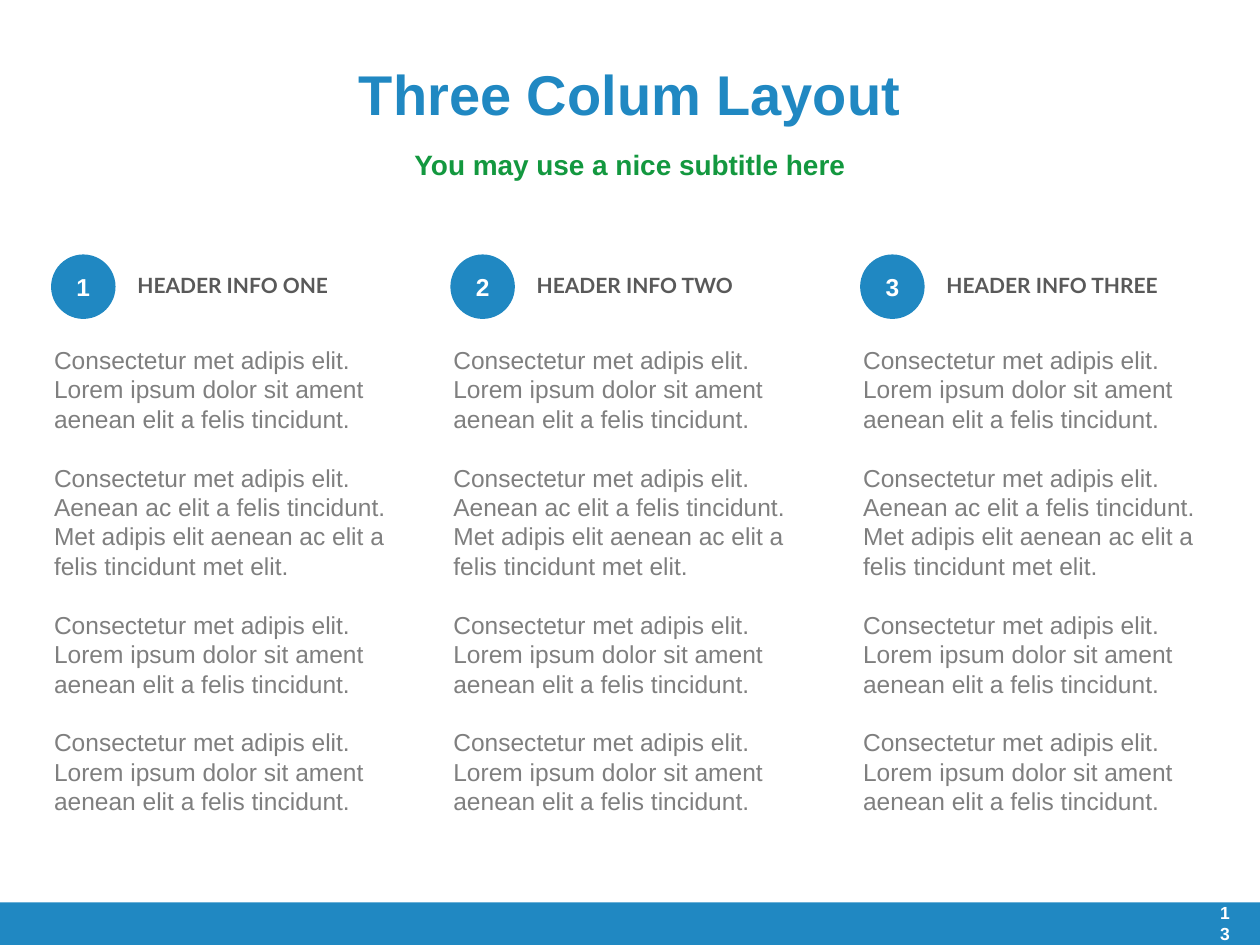
from pptx import Presentation
from pptx.dml.color import RGBColor
from pptx.enum.shapes import MSO_SHAPE
from pptx.enum.text import MSO_ANCHOR, PP_ALIGN
from pptx.util import Cm, Pt

BLUE = RGBColor(0x20, 0x88, 0xC2)
GREEN = RGBColor(0x13, 0x98, 0x3F)
DARK_GRAY = RGBColor(0x59, 0x59, 0x59)
GRAY = RGBColor(0x7F, 0x7F, 0x7F)
WHITE = RGBColor(0xFF, 0xFF, 0xFF)

COLUMNS = [
    (0.84, "HEADER INFO ONE"),
    (8.89, "HEADER INFO TWO"),
    (17.15, "HEADER INFO THREE"),
]
LOREM = ("Consectetur met adipis elit. Lorem ipsum dolor sit ament "
         "aenean elit a felis tincidunt.")
BODY_LINE = Pt(16.8)
BODY = [
    (LOREM, 0),
    ("Consectetur met adipis elit. Aenean ac elit a felis tincidunt.", BODY_LINE),
    ("Met adipis elit aenean ac elit a felis tincidunt met elit.", 0),
    (LOREM, BODY_LINE),
    (LOREM, BODY_LINE),
]


def write_text(shape, paragraphs, size, color, font="Arial", bold=False,
               align=PP_ALIGN.LEFT, anchor=MSO_ANCHOR.MIDDLE, line_spacing=1.0):
    frame = shape.text_frame
    frame.word_wrap = True
    frame.vertical_anchor = anchor
    for index, (text, space_before) in enumerate(paragraphs):
        paragraph = frame.add_paragraph() if index else frame.paragraphs[0]
        paragraph.alignment = align
        paragraph.line_spacing = line_spacing
        paragraph.space_before = space_before
        run = paragraph.add_run()
        run.text = text
        run.font.name = font
        run.font.size = Pt(size)
        run.font.bold = bold
        run.font.color.rgb = color


def add_text(slide, left, top, width, height, paragraphs, **text_format):
    box = slide.shapes.add_textbox(Cm(left), Cm(top), Cm(width), Cm(height))
    write_text(box, paragraphs, **text_format)
    return box


def add_blue_shape(slide, kind, left, top, width, height):
    shape = slide.shapes.add_shape(kind, Cm(left), Cm(top), Cm(width), Cm(height))
    shape.shadow.inherit = False
    shape.fill.solid()
    shape.fill.fore_color.rgb = BLUE
    shape.line.fill.background()
    return shape


def add_number_badge(slide, left, number):
    badge = add_blue_shape(slide, MSO_SHAPE.ROUNDED_RECTANGLE, left, 5.13, 1.3, 1.3)
    badge.adjustments[0] = 0.5
    write_text(badge, [(str(number), 0)], size=14, color=WHITE, bold=True,
               align=PP_ALIGN.CENTER)


def add_column(slide, left, number, header):
    body = add_text(slide, left, 6.83, 7.19, 9.53, BODY, size=14, color=GRAY,
                    anchor=MSO_ANCHOR.TOP, line_spacing=BODY_LINE)
    body.text_frame.margin_right = 0
    add_text(slide, left + 1.68, 5.08, 5.51, 1.3, [(header, 0)], size=12,
             color=DARK_GRAY, font="Lato", bold=True, line_spacing=1.1)
    add_number_badge(slide, left + 0.19, number)


def main():
    presentation = Presentation()
    presentation.slide_width = Cm(25.4)
    presentation.slide_height = Cm(19.05)
    slide = presentation.slides.add_slide(presentation.slide_layouts[6])

    add_blue_shape(slide, MSO_SHAPE.RECTANGLE, 0, 18.19, 25.45, 0.89)
    for number, (left, header) in enumerate(COLUMNS, start=1):
        add_column(slide, left, number, header)
    add_text(slide, 24.33, 18.26, 0.71, 0.69, [("13", 0)], size=10,
             color=WHITE, bold=True, align=PP_ALIGN.RIGHT)
    add_text(slide, 1.27, 1.07, 22.86, 1.63, [("Three Colum Layout", 0)],
             size=32, color=BLUE, bold=True, align=PP_ALIGN.CENTER)
    add_text(slide, 1.27, 2.79, 22.86, 0.99,
             [("You may use a nice subtitle here", 0)], size=16, color=GREEN,
             bold=True, align=PP_ALIGN.CENTER, line_spacing=1.1)

    presentation.save("out.pptx")


if __name__ == "__main__":
    main()
